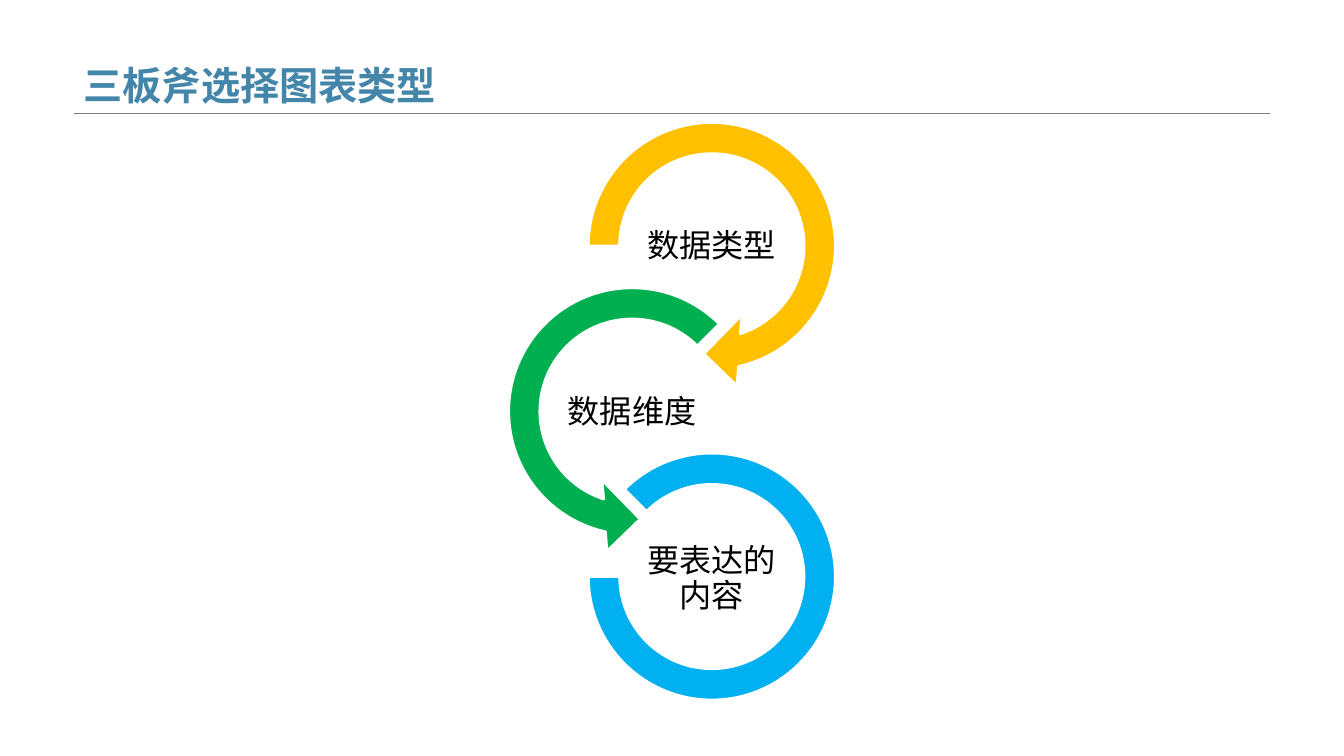
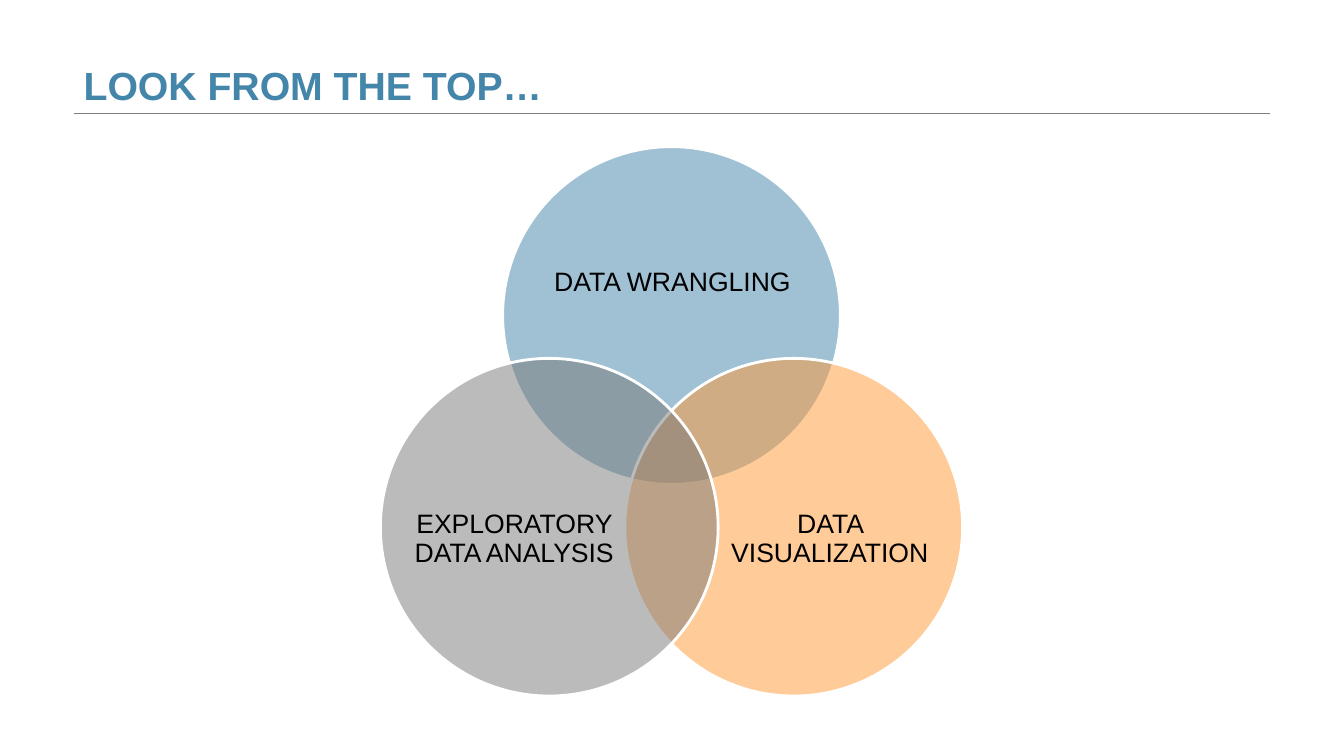
from math import cos, radians, sin, tan

from lxml import etree
from pptx import Presentation
from pptx.dml.color import RGBColor
from pptx.enum import shapes, text
from pptx.oxml.ns import qn
from pptx.util import Inches, Pt

FONT = "Arial"
COLORS = {
    "title": "4485AA",
    "rule": "7F7F7F",
    "text": "000000",
    "outline": "FFFFFF",
    "amber": "FFC000",
    "green": "00B050",
    "sky": "00B0F0",
    "blue": "4285AA",
    "orange": "FF9933",
    "gray": "787878",
}
MARGIN, TITLE_WIDTH, TITLE_HEIGHT = 0.73, 11.87, 1.13
OUTER_RADIUS, INNER_RADIUS = 1.225, 0.915
ARROW_FRAME = 2.85
ARROW_HEAD = [(0.25, 1.39), (-0.08, 1.07), (0.3, 0.68)]
ARC_CURVES = 3
VENN_CENTER, VENN_OFFSET, VENN_DIAMETER = (6.66, 4.53), 1.4, 3.35


def color(name):
    return RGBColor.from_string(COLORS[name])


def write(paragraph, content, size, color_name, spacing, alignment, bold=False):
    paragraph.alignment = alignment
    paragraph.line_spacing = spacing
    run = paragraph.add_run()
    run.text = content
    run.font.name = FONT
    run.font.size = Pt(size)
    run.font.bold = bold
    run.font.color.rgb = color(color_name)


def add_titled_slide(presentation, title):
    slide = presentation.slides.add_slide(presentation.slide_layouts[5])
    right = MARGIN + TITLE_WIDTH
    rule = slide.shapes.add_connector(
        shapes.MSO_CONNECTOR.STRAIGHT,
        Inches(MARGIN), Inches(TITLE_HEIGHT), Inches(right), Inches(TITLE_HEIGHT),
    )
    rule.line.color.rgb = color("rule")
    rule.line.width = Pt(0.75)
    etree.SubElement(rule._element.spPr, qn("a:effectLst"))

    placeholder = slide.shapes.title
    placeholder.left, placeholder.top = Inches(MARGIN), Inches(0)
    placeholder.width, placeholder.height = Inches(TITLE_WIDTH), Inches(TITLE_HEIGHT)
    frame = placeholder.text_frame
    frame.auto_size = text.MSO_AUTO_SIZE.NONE
    frame.vertical_anchor = text.MSO_ANCHOR.BOTTOM
    write(frame.paragraphs[0], title, 28, "title", 1.5, text.PP_ALIGN.LEFT, bold=True)
    return slide


def add_label(slide, content, center, width, height, size, inset=0):
    box = slide.shapes.add_textbox(
        Inches(center[0] - width / 2), Inches(center[1] - height / 2),
        Inches(width), Inches(height),
    )
    frame = box.text_frame
    frame.word_wrap = True
    frame.vertical_anchor = text.MSO_ANCHOR.MIDDLE
    frame.margin_left = frame.margin_right = Inches(inset)
    frame.margin_top = frame.margin_bottom = Inches(inset)
    write(frame.paragraphs[0], content, size, "text", 0.9, text.PP_ALIGN.CENTER)


def paint(shape, fill_name):
    shape.shadow.inherit = False
    shape.fill.solid()
    shape.fill.fore_color.rgb = color(fill_name)
    shape.line.color.rgb = color("outline")
    shape.line.width = Pt(2)


def add_round_shape(slide, preset, center, diameter, fill_name):
    shape = slide.shapes.add_shape(
        preset,
        Inches(center[0] - diameter / 2), Inches(center[1] - diameter / 2),
        Inches(diameter), Inches(diameter),
    )
    paint(shape, fill_name)
    return shape


def arc_points(radius, start, end):
    sweep = radians(end - start) / ARC_CURVES
    reach = 4 / 3 * tan(sweep / 4)
    points = [(radius * cos(radians(start)), radius * sin(radians(start)))]
    for index in range(ARC_CURVES):
        first = radians(start) + index * sweep
        last = first + sweep
        points += [
            (radius * (cos(first) - reach * sin(first)),
             radius * (sin(first) + reach * cos(first))),
            (radius * (cos(last) + reach * sin(last)),
             radius * (sin(last) - reach * cos(last))),
            (radius * cos(last), radius * sin(last)),
        ]
    return points


def bend(path, lines):
    for index in range(0, len(lines), 3):
        curve = etree.Element(qn("a:cubicBezTo"))
        path.replace(lines[index], curve)
        curve.append(lines[index][0])
        for line in lines[index + 1:index + 3]:
            curve.append(line[0])
            path.remove(line)


def set_frame(shape, path, center):
    left, top = (Inches(value - ARROW_FRAME / 2) for value in center)
    for point in path.iter(qn("a:pt")):
        point.set("x", str(int(point.get("x")) + shape.left - left))
        point.set("y", str(int(point.get("y")) + shape.top - top))
    shape.left, shape.top = left, top
    shape.width = shape.height = Inches(ARROW_FRAME)
    path.set("w", str(shape.width))
    path.set("h", str(shape.height))


def add_circular_arrow(slide, center, start, direction, fill_name):
    outer = arc_points(OUTER_RADIUS, start, 437.5)
    inner = arc_points(INNER_RADIUS, 432, start)
    points = [
        (Inches(center[0] + direction * x), Inches(center[1] + y))
        for x, y in outer + ARROW_HEAD + inner
    ]
    builder = slide.shapes.build_freeform(*points[0])
    builder.add_line_segments(points[1:], close=True)
    arrow = builder.convert_to_shape()
    path = next(arrow._element.iter(qn("a:path")))
    lines = path.findall(qn("a:lnTo"))
    curve_points = 3 * ARC_CURVES
    inner_start = len(outer) + len(ARROW_HEAD)
    bend(path, lines[:curve_points])
    bend(path, lines[inner_start:inner_start + curve_points])
    set_frame(arrow, path, center)
    paint(arrow, fill_name)


def add_block_arc(slide, center, fill_name):
    arc = add_round_shape(
        slide, shapes.MSO_SHAPE.BLOCK_ARC, center, 2 * OUTER_RADIUS, fill_name
    )
    for index, value in enumerate((135, 108, 0.127)):
        arc.adjustments[index] = value


def add_venn_circle(slide, angle, fill_name):
    center = (
        VENN_CENTER[0] + VENN_OFFSET * cos(radians(angle)),
        VENN_CENTER[1] + VENN_OFFSET * sin(radians(angle)),
    )
    circle = add_round_shape(
        slide, shapes.MSO_SHAPE.OVAL, center, VENN_DIAMETER, fill_name
    )
    fill_color = circle._element.spPr.find(qn("a:solidFill"))[0]
    etree.SubElement(fill_color, qn("a:alpha"), val="50000")


def build_chart_choice(presentation):
    slide = add_titled_slide(presentation, "三板斧选择图表类型")
    labels = ["数据类型", "数据维度", "要表达的内容"]
    columns = [7.06, 6.27, 7.06]
    centers = [(x, 2.44 + 1.64 * row) for row, x in enumerate(columns)]
    add_circular_arrow(slide, centers[0], 180, 1, "amber")
    add_circular_arrow(slide, centers[1], 225, -1, "green")
    add_block_arc(slide, centers[2], "sky")
    for row, (label, x) in enumerate(zip(labels, columns)):
        add_label(slide, label, (x, 2.45 + 1.65 * row), 1.58, 0.79, 23, inset=0.02)


def build_overview(presentation):
    slide = add_titled_slide(presentation, "LOOK FROM THE TOP…")
    circles = [
        (-90, "blue", "DATA WRANGLING", (6.67, 2.81), 2.46, 1.51),
        (30, "orange", "DATA VISUALIZATION", (8.23, 5.35), 2.01, 1.84),
        (150, "gray", "EXPLORATORY DATA ANALYSIS", (5.1, 5.35), 2.01, 1.84),
    ]
    for angle, fill_name, label, label_center, width, height in circles:
        add_venn_circle(slide, angle, fill_name)
        add_label(slide, label, label_center, width, height, 19)


def main():
    presentation = Presentation()
    presentation.slide_width = Inches(13.33)
    presentation.slide_height = Inches(7.5)
    build_chart_choice(presentation)
    build_overview(presentation)
    presentation.save("out.pptx")


if __name__ == "__main__":
    main()
